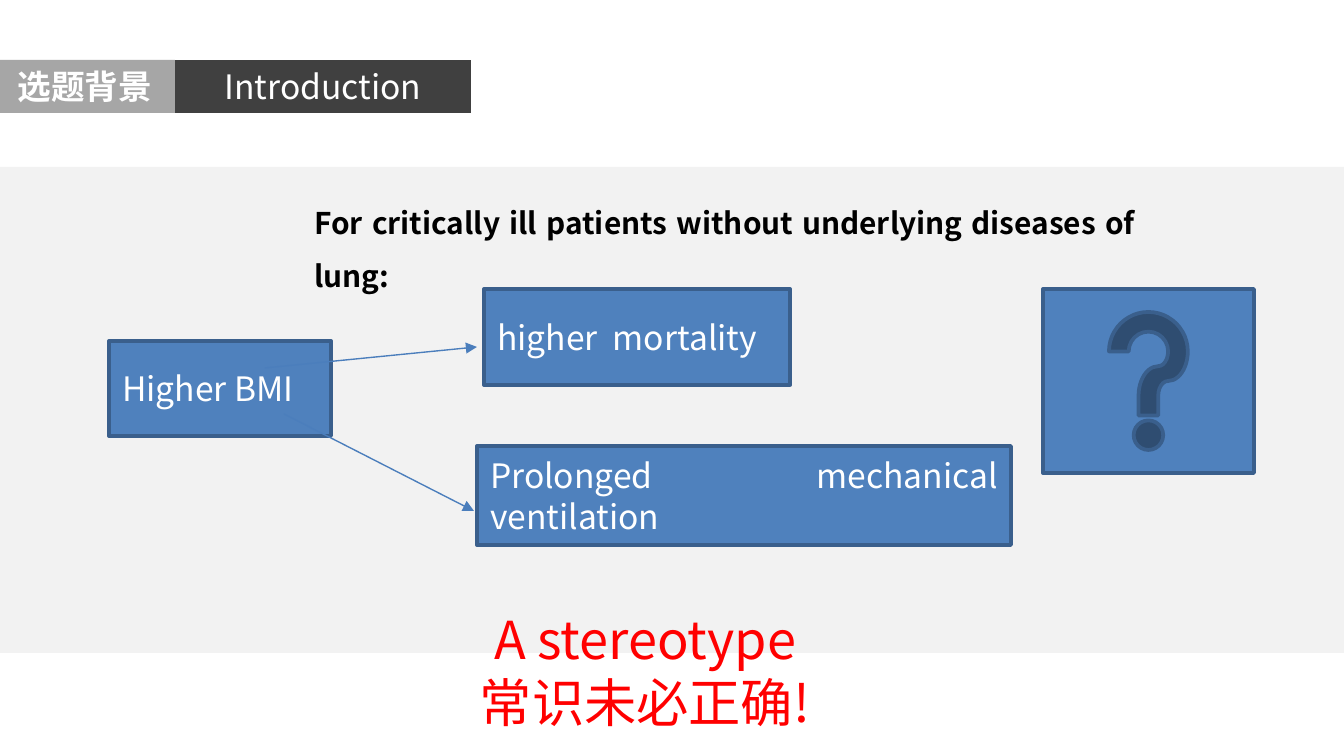
import pptx
import pptx.util
import pptx.dml.color
import pptx.enum.shapes
import pptx.enum.text
import pptx.oxml
import pptx.oxml.ns

RGB = pptx.dml.color.RGBColor
SHAPE = pptx.enum.shapes.MSO_SHAPE
ALIGN = pptx.enum.text.PP_ALIGN
ANCHOR = pptx.enum.text.MSO_ANCHOR

WHITE = RGB(0xFF, 0xFF, 0xFF)
BLACK = RGB(0, 0, 0)
RED = RGB(0xFF, 0, 0)
PANEL = RGB(0xF2, 0xF2, 0xF2)
GREY = RGB(0xA6, 0xA6, 0xA6)
DARK = RGB(0x40, 0x40, 0x40)
BLUE = RGB(0x4F, 0x81, 0xBD)
OUTLINE = RGB(0x3A, 0x5F, 0x8C)
ARROW = RGB(0x4B, 0x7E, 0xBC)

FONT = "Noto Sans CJK SC"
PX = 914400 / 134.4

PANEL_BOX = (-27, 167, 1407, 486)
SECTION = ("选题背景", (-5, 60, 180, 53))
HEADING = ("Introduction", (175, 60, 296, 53))
PREMISE = ("For critically ill patients without underlying diseases of lung:",
           (301, 180, 848, 91))
CONCLUSION = (("A stereotype", "常识未必正确!"), (407, 601, 476, 140))
FACTORS = [
    ("Higher BMI", (109, 341, 222, 95)),
    ("higher  mortality", (484, 289, 306, 96)),
    ("Prolonged mechanical ventilation", (477, 446, 534, 99)),
]
EFFECTS = [(265, 368, 477, 347), (284, 414, 474, 511)]
QUESTION_BOX = (1043, 289, 211, 184)

LABEL = {"size": pptx.util.Pt(18), "bold": False}
SECTION_FONT = {"size": pptx.util.Pt(18), "bold": True}
PREMISE_FONT = {"size": pptx.util.Pt(16), "bold": True}
CONCLUSION_FONT = {"size": pptx.util.Pt(28), "bold": False}


def emu(lengths):
    return [round(length * PX) for length in lengths]


def write(shape, lines, font_format, color, align, anchor=ANCHOR.MIDDLE, spacing=None):
    frame = shape.text_frame
    frame.word_wrap = True
    frame.vertical_anchor = anchor
    for index, line in enumerate(lines):
        paragraph = frame.add_paragraph() if index else frame.paragraphs[0]
        paragraph.alignment = align
        if spacing:
            paragraph.line_spacing = spacing
        run = paragraph.add_run()
        run.text = line
        for name, value in {**font_format, "name": FONT}.items():
            setattr(run.font, name, value)
        run.font.color.rgb = color
        east_asian = pptx.oxml.parse_xml(
            f'<a:ea {pptx.oxml.ns.nsdecls("a")} typeface="{FONT}"/>')
        run.font._element.find(pptx.oxml.ns.qn("a:latin")).addnext(east_asian)


def add_block(box, fill, outline=None, kind=SHAPE.RECTANGLE):
    block = slide.shapes.add_shape(kind, *emu(box))
    block.shadow.inherit = False
    block.fill.solid()
    block.fill.fore_color.rgb = fill
    if outline:
        block.line.color.rgb = outline
        block.line.width = pptx.util.Pt(2)
    else:
        block.line.fill.background()
    return block


deck = pptx.Presentation()
deck.slide_width, deck.slide_height = emu((1344, 756))
slide = deck.slides.add_slide(deck.slide_layouts[5])

add_block(PANEL_BOX, PANEL)

section, section_box = SECTION
write(add_block(section_box, GREY), [section], SECTION_FONT, WHITE, ALIGN.CENTER)

heading, heading_box = HEADING
title = slide.shapes.title
title.left, title.top, title.width, title.height = emu(heading_box)
title.fill.solid()
title.fill.fore_color.rgb = DARK
write(title, [heading], LABEL, WHITE, ALIGN.CENTER)

premise, premise_box = PREMISE
write(slide.shapes.add_textbox(*emu(premise_box)), [premise], PREMISE_FONT,
      BLACK, ALIGN.JUSTIFY, ANCHOR.TOP, 1.5)

conclusion, conclusion_box = CONCLUSION
write(slide.shapes.add_textbox(*emu(conclusion_box)), conclusion, CONCLUSION_FONT,
      RED, ALIGN.CENTER, ANCHOR.TOP)

for factor, factor_box in FACTORS:
    write(add_block(factor_box, BLUE, OUTLINE), [factor], LABEL, WHITE, ALIGN.JUSTIFY)

for ends in EFFECTS:
    effect = slide.shapes.add_connector(
        pptx.enum.shapes.MSO_CONNECTOR.STRAIGHT, *emu(ends))
    effect.line.color.rgb = ARROW
    effect.line.width = pptx.util.Pt(0.75)
    effect.line._get_or_add_ln().append(pptx.oxml.parse_xml(
        f'<a:tailEnd {pptx.oxml.ns.nsdecls("a")} type="triangle"/>'))
    effect._element.spPr.append(pptx.oxml.parse_xml(
        f'<a:effectLst {pptx.oxml.ns.nsdecls("a")}/>'))

add_block(QUESTION_BOX, BLUE, OUTLINE, SHAPE.ACTION_BUTTON_HELP)

deck.save("out.pptx")
